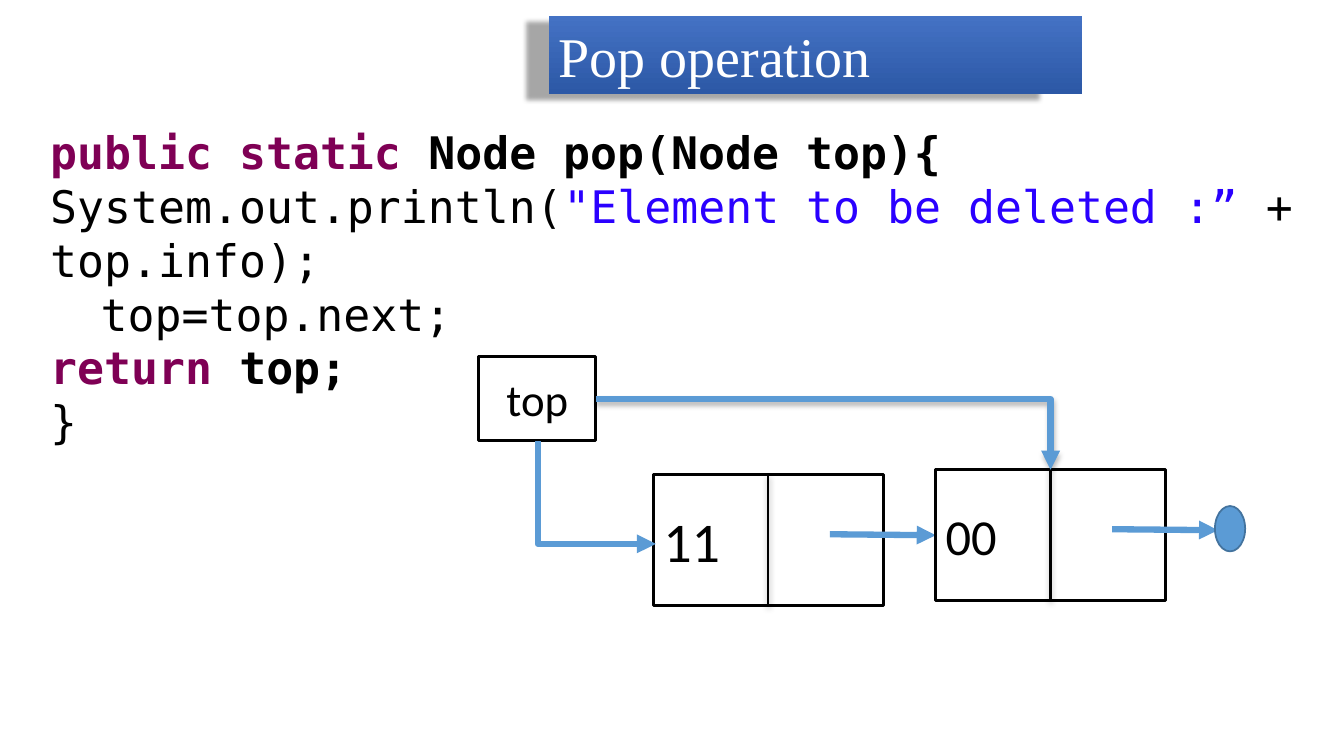
from lxml import etree
from pptx import Presentation
from pptx.dml.color import RGBColor
from pptx.enum.shapes import MSO_CONNECTOR as CONN, MSO_SHAPE as SHAPE
from pptx.enum.text import MSO_ANCHOR as ANCHOR, MSO_AUTO_SIZE as FIT, PP_ALIGN as ALIGN
from pptx.oxml.ns import qn
from pptx.util import Pt

PX = 9144  # 100 px to the inch
BLACK, WHITE = RGBColor(0, 0, 0), RGBColor(255, 255, 255)
BLUE, BLUE_EDGE = RGBColor(0x5B, 0x9B, 0xD5), RGBColor(0x43, 0x73, 0x9E)
TITLE_TOP, TITLE_BOTTOM = RGBColor(0x44, 0x72, 0xC4), RGBColor(0x2C, 0x58, 0xA6)
KEYWORD, STRING = RGBColor(0x7F, 0, 0x55), RGBColor(0x2A, 0, 0xFF)
LINE_SHADOW = dict(blurRad=50800, dist=25400, dir=5400000, alpha=28000)
TITLE_SHADOW = dict(blurRad=44450, dist=50800, dir=5400000, sx=96000, alpha=34000)

prs = Presentation()
prs.slide_width, prs.slide_height = 1333 * PX, 750 * PX
s = prs.slides.add_slide(prs.slide_layouts[5])


def add_effect(sp, shadow=None):
    """Give the shape a soft black shadow, or an empty effect list."""
    effects = etree.SubElement(sp._element.spPr, qn("a:effectLst"))
    if shadow:
        outer = etree.SubElement(effects, qn("a:outerShdw"), rotWithShape="0")
        for name, value in shadow.items():
            if name != "alpha":
                outer.set(name, str(value))
        color = etree.SubElement(outer, qn("a:srgbClr"), val="000000")
        etree.SubElement(color, qn("a:alpha"), val=str(shadow["alpha"]))


def add_line(kind, x1, y1, x2, y2, color, width, arrow=False, shadow=None):
    c = s.shapes.add_connector(kind, x1 * PX, y1 * PX, x2 * PX, y2 * PX)
    c.line.color.rgb, c.line.width = color, Pt(width)
    if arrow:
        etree.SubElement(c.line._get_or_add_ln(), qn("a:tailEnd"), type="triangle")
    if kind == CONN.ELBOW:
        c._element.spPr.find(qn("a:prstGeom")).set("prst", "bentConnector2")
    add_effect(c, shadow)
    return c


# Code
box = s.shapes.add_textbox(40 * PX, 119 * PX, 1293 * PX, 333 * PX)
tf = box.text_frame
tf.word_wrap = True
code = [
    (True, [("public static", KEYWORD), (" Node pop(Node top){", BLACK)]),
    (False, [("System.out.println(", BLACK), ("\"Element to be deleted :” ", STRING),
             ("+ top.info);", BLACK)]),
    (False, [("\ttop=top.next;", BLACK)]),
    (True, [("return ", KEYWORD), ("top;", BLACK)]),
    (False, [("}", BLACK)]),
]
for i, (bold, runs) in enumerate(code):
    p = tf.add_paragraph() if i else tf.paragraphs[0]
    p.font.name, p.font.size, p.font.bold = "DejaVu Sans Mono", Pt(32), bold
    p.line_spacing = Pt(38.4)
    for text, color in runs:
        r = p.add_run()
        r.text, r.font.color.rgb = text, color

# Title
title = s.shapes.title
title.left, title.top, title.width, title.height = 544 * PX, 16 * PX, 529 * PX, 77 * PX
title.fill.gradient()
title.fill.gradient_angle = 270
for stop, color, position in zip(title.fill.gradient_stops, (TITLE_TOP, TITLE_BOTTOM), (0, 1)):
    stop.color.rgb, stop.position = color, position
add_effect(title, TITLE_SHADOW)
tf = title.text_frame
tf.text, tf.vertical_anchor, tf.auto_size = "Pop operation", ANCHOR.TOP, FIT.NONE
p = tf.paragraphs[0]
p.alignment = ALIGN.LEFT
p.font.name, p.font.size, p.font.color.rgb = "Times New Roman", Pt(40), WHITE

# Boxes: the pointer to the top, then two nodes with a divider and a next arrow
boxes = [
    ("top", 475, 354, 116, 83, 32, ALIGN.CENTER),
    ("11", 648, 471, 228, 130, 40, ALIGN.LEFT),
    ("00", 928, 466, 228, 130, 36, ALIGN.LEFT),
]
for text, x, y, w, h, size, align in boxes:
    sp = s.shapes.add_shape(SHAPE.RECTANGLE, x * PX, y * PX, w * PX, h * PX)
    sp.shadow.inherit = False
    sp.fill.solid()
    sp.fill.fore_color.rgb = WHITE
    sp.line.color.rgb, sp.line.width = BLACK, Pt(2.25)
    tf = sp.text_frame
    tf.text, tf.vertical_anchor = text, ANCHOR.MIDDLE
    p = tf.paragraphs[0]
    p.alignment = align
    p.font.name, p.font.size, p.font.color.rgb = "Calibri", Pt(size), BLACK
    if text != "top":
        add_line(CONN.STRAIGHT, x + 114, y, x + 114, y + h, BLACK, 1.75, shadow=LINE_SHADOW)
        add_line(CONN.STRAIGHT, x + 175, y + 59, x + 280, y + 60, BLUE, 4.5, arrow=True)

# Elbow arrow from top down to the first node, turned a quarter
old_link = add_line(CONN.ELBOW, 643, 430, 541, 547, BLUE, 4.5, arrow=True)
old_link._element.spPr.find(qn("a:xfrm")).set("rot", "16200000")

# End of the list
end = s.shapes.add_shape(SHAPE.OVAL, 1205 * PX, 502 * PX, 30 * PX, 45 * PX)
end.shadow.inherit = False
end.fill.solid()
end.fill.fore_color.rgb = BLUE
end.line.color.rgb, end.line.width = BLUE_EDGE, Pt(1.25)

# Elbow arrow from top to the second node
add_line(CONN.ELBOW, 591, 396, 1042, 466, BLUE, 4.5, arrow=True, shadow=LINE_SHADOW)

prs.save("out.pptx")
